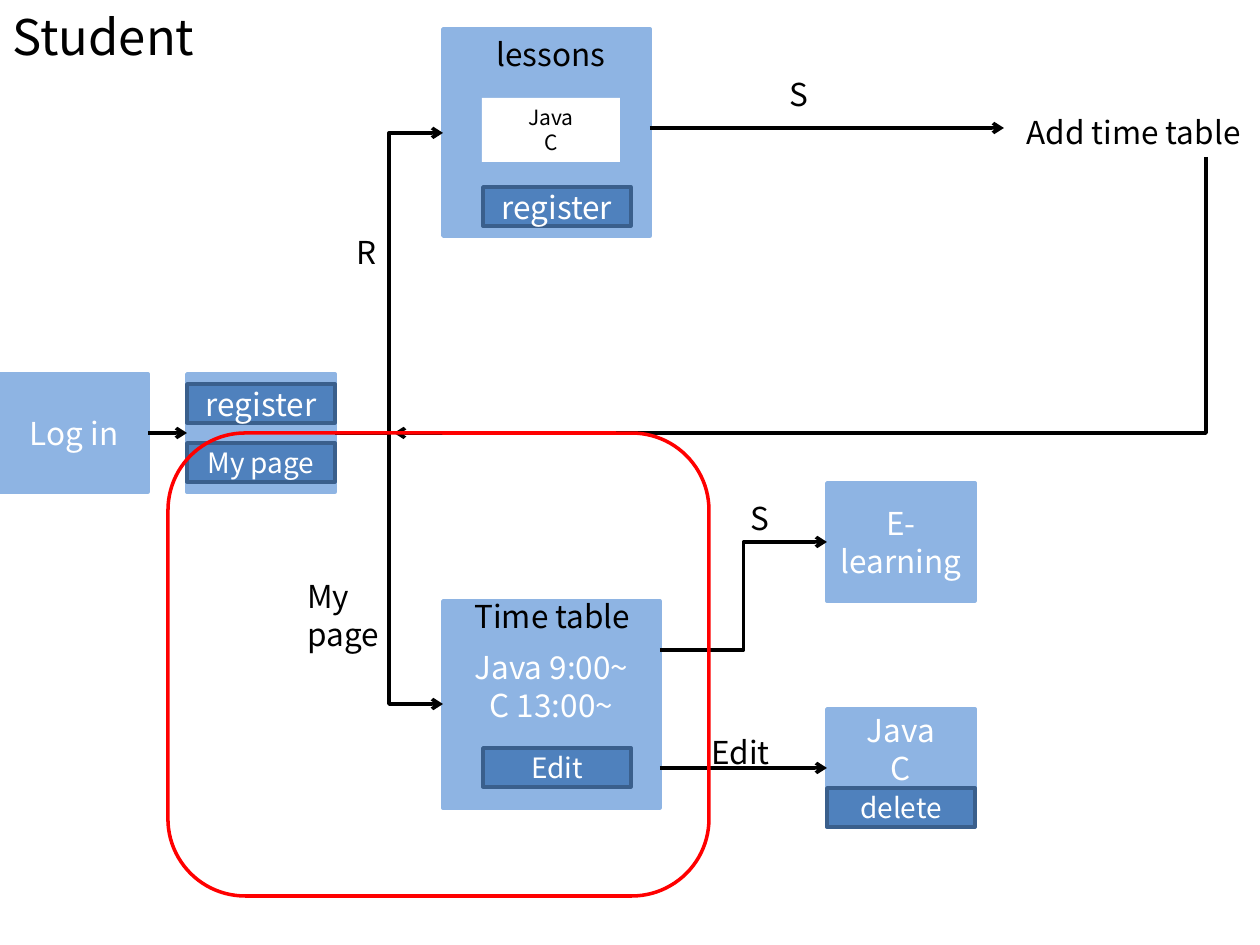
from dataclasses import dataclass

from pptx import Presentation, util as u
from pptx.dml.color import RGBColor
from pptx.enum import shapes as es, text as et
from pptx.oxml.ns import qn
from lxml import etree

PX = 914400 // 126
FONT = "Noto Sans CJK KR"
BLACK = RGBColor(0x00, 0x00, 0x00)
WHITE = RGBColor(0xFF, 0xFF, 0xFF)
RED = RGBColor(0xFF, 0x00, 0x00)
PANEL = RGBColor(0x8E, 0xB4, 0xE3)
BUTTON = RGBColor(0x4F, 0x81, 0xBD)
BUTTON_EDGE = RGBColor(0x3A, 0x5F, 0x8C)
LEFT, CENTER, JUSTIFY = et.PP_ALIGN.LEFT, et.PP_ALIGN.CENTER, et.PP_ALIGN.JUSTIFY
STRAIGHT, ELBOW = es.MSO_CONNECTOR.STRAIGHT, es.MSO_CONNECTOR.ELBOW
CELL_W, CELL_H, BUTTON_H, LABEL_W, LABEL_H = 148, 118, 39, 227, 51
LINE_H = 38


@dataclass
class Box:
    x: int
    y: int
    w: int = CELL_W
    h: int = CELL_H
    lines: tuple[str, ...] = ()
    size: int = 18
    fill: RGBColor | None = PANEL
    edge: RGBColor | None = PANEL
    color: RGBColor = WHITE
    raised: int = 0
    shape: es.MSO_SHAPE = es.MSO_SHAPE.RECTANGLE


@dataclass
class Label:
    x: int
    y: int
    lines: tuple[str, ...]
    w: int = LABEL_W
    h: int = LABEL_H
    align: et.PP_ALIGN = LEFT


@dataclass
class Arrow:
    start: tuple[int, int]
    end: tuple[int, int]
    kind: es.MSO_CONNECTOR = STRAIGHT


def px(value: float) -> int:
    return round(value * PX)


def write(frame, lines: tuple[str, ...], size: int, color: RGBColor, align) -> None:
    frame.word_wrap = True
    for i, line in enumerate(lines):
        paragraph = frame.paragraphs[0] if i == 0 else frame.add_paragraph()
        paragraph.alignment = align
        run = paragraph.add_run()
        run.text = line
        run.font.name, run.font.size = FONT, u.Pt(size)
        run.font.color.rgb = color


def draw_box(slide, box: Box) -> None:
    shape = slide.shapes.add_shape(box.shape, px(box.x), px(box.y), px(box.w), px(box.h))
    shape.shadow.inherit = False
    if box.fill is None:
        shape.fill.background()
    else:
        shape.fill.solid()
        shape.fill.fore_color.rgb = box.fill
    if box.edge is None:
        shape.line.fill.background()
    else:
        shape.line.color.rgb = box.edge
        shape.line.width = u.Pt(2)
    if box.lines:
        frame = shape.text_frame
        frame.vertical_anchor = et.MSO_ANCHOR.MIDDLE
        if box.raised:
            frame.margin_top, frame.margin_bottom = 0, px(box.raised)
        write(frame, box.lines, box.size, box.color, CENTER)


def draw_label(slide, label: Label) -> None:
    textbox = slide.shapes.add_textbox(px(label.x), px(label.y), px(label.w), px(label.h))
    write(textbox.text_frame, label.lines, 18, BLACK, label.align)


def draw_arrow(slide, arrow: Arrow):
    connector = slide.shapes.add_connector(
        arrow.kind, *(px(v) for v in arrow.start + arrow.end))
    connector.line.color.rgb = BLACK
    connector.line.width = u.Pt(2)
    etree.SubElement(connector.line._get_or_add_ln(), qn("a:tailEnd"), type="arrow")
    etree.SubElement(connector._element.spPr, qn("a:effectLst"))
    return connector


def draw_corner_arrow(slide, start: tuple[int, int], end: tuple[int, int]) -> None:
    """One-corner arrow that runs down, then left: a quarter-turned connector."""
    width, height = end[1] - start[1], start[0] - end[0]
    left = (start[0] + end[0] - width) // 2
    top = (start[1] + end[1] - height) // 2
    connector = draw_arrow(slide, Arrow((left, top), (left + width, top + height), ELBOW))
    properties = connector._element.spPr
    properties.find(qn("a:xfrm")).set("rot", str(90 * 60000))
    properties.find(qn("a:prstGeom")).set("prst", "bentConnector2")


def button(x: int, y: int, caption: str, size: int = 16) -> Box:
    return Box(x, y, h=BUTTON_H, lines=(caption,), size=size, fill=BUTTON, edge=BUTTON_EDGE)


BOXES = [
    # Panels
    Box(0, 374, lines=("Log in",)),
    Box(187, 374),
    Box(443, 29, 207, 207),
    Box(443, 601, 217, 207, ("Java 9:00~", "C 13:00~"), raised=LINE_H),
    Box(827, 483, lines=("E-learning",)),
    Box(827, 709, lines=("Java", "C"), raised=LINE_H),
    # Lesson list
    Box(482, 98, 138, 64, ("Java", "C"), 12, WHITE, None, BLACK),
    # Buttons
    button(187, 384, "register", 18),
    button(187, 443, "My page"),
    button(483, 187, "register", 18),
    button(483, 748, "Edit"),
    button(827, 788, "delete"),
]
ARROWS = [
    Arrow((148, 433), (187, 433)),
    Arrow((335, 433), (443, 133), ELBOW),
    Arrow((335, 433), (443, 704), ELBOW),
    Arrow((650, 128), (1004, 128)),
    Arrow((660, 768), (827, 768)),
    Arrow((660, 650), (827, 542), ELBOW),
]
LABELS = [
    Label(423, 29, ("lessons",), w=256, align=CENTER),
    Label(344, 227, ("R",)),
    Label(295, 571, ("My ", "page"), h=89),
    Label(462, 591, ("Time table",)),
    Label(1014, 107, ("Add time table",), w=384, align=JUSTIFY),
    Label(777, 69, ("S",)),
    Label(699, 727, ("Edit",)),
    Label(738, 493, ("S",)),
]
HIGHLIGHT = Box(168, 433, 541, 463, fill=None, edge=RED,
                shape=es.MSO_SHAPE.ROUNDED_RECTANGLE)

presentation = Presentation()
presentation.slide_width, presentation.slide_height = px(1260), px(945)
slide = presentation.slides.add_slide(presentation.slide_layouts[5])

# Title
title = slide.shapes.title
title.left, title.top, title.width, title.height = 0, 0, px(286), px(72)
title.text_frame.auto_size = et.MSO_AUTO_SIZE.NONE
title.text_frame.vertical_anchor = et.MSO_ANCHOR.TOP
write(title.text_frame, ("Student",), 28, BLACK, LEFT)

# Flow chart
for item in BOXES:
    draw_box(slide, item)
for item in ARROWS:
    draw_arrow(slide, item)
draw_corner_arrow(slide, (1206, 157), (394, 433))
for item in LABELS:
    draw_label(slide, item)

# Highlighted area
draw_box(slide, HIGHLIGHT)

presentation.save("out.pptx")
